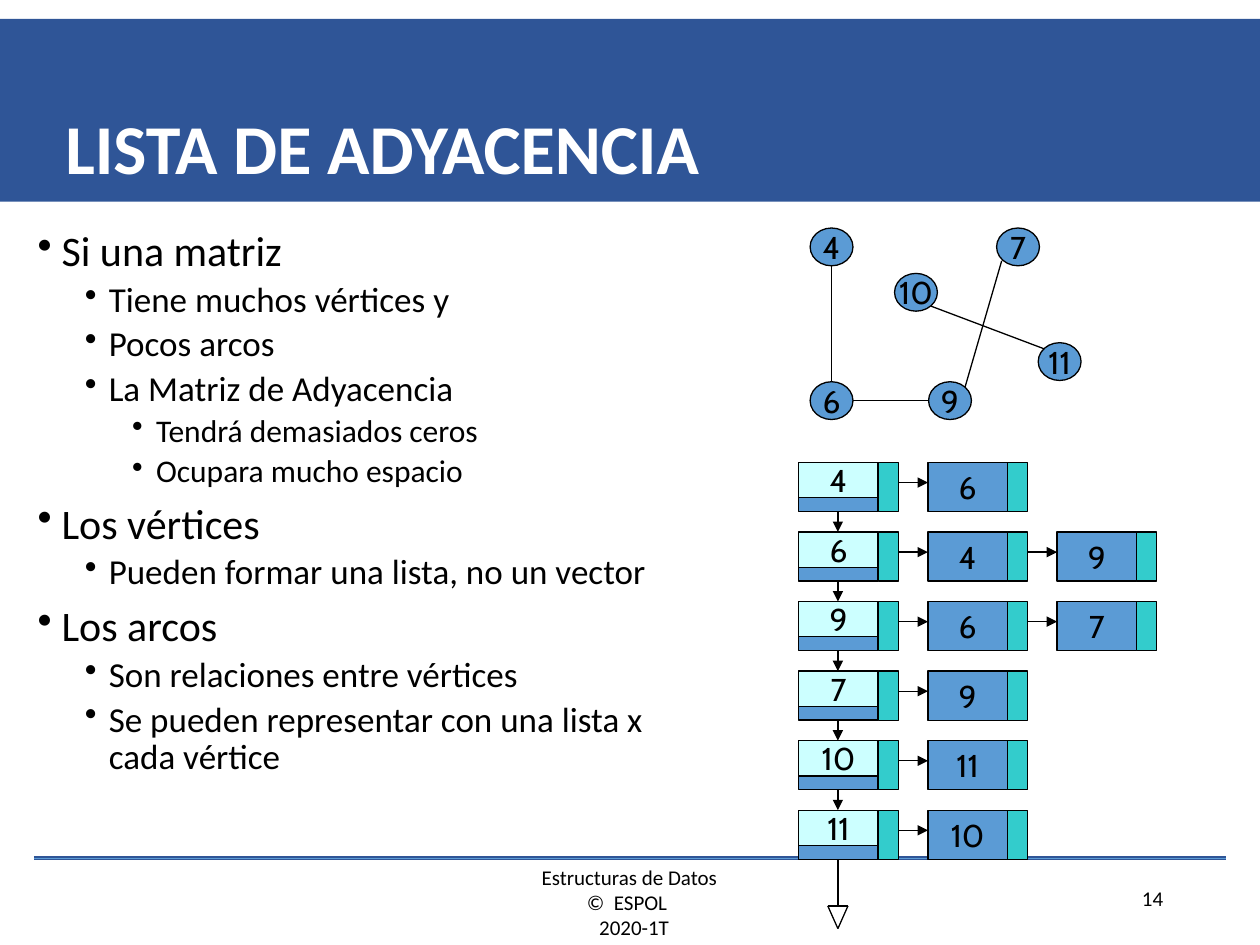
from dataclasses import dataclass

import pptx
import pptx.dml.color
import pptx.enum.shapes
import pptx.enum.text
import pptx.oxml.ns
import pptx.oxml.xmlchemy
import pptx.util
from lxml import etree

Inches = pptx.util.Inches
Pt = pptx.util.Pt
qn = pptx.oxml.ns.qn
Align = pptx.enum.text.PP_ALIGN
Shape = pptx.enum.shapes.MSO_SHAPE


@dataclass(frozen=True)
class Theme:
    text_font: str = "Calibri"
    diagram_font: str = "Cabin"
    black: str = "000000"
    white: str = "FFFFFF"
    banner: str = "2F5597"
    node: str = "5B9BD5"
    vertex: str = "CCFFFF"
    pointer: str = "33CCCC"
    title_size: float = 40
    footer_size: float = 12
    diagram_size: float = 18
    body_sizes: tuple = (24, 20, 18)
    body_gaps: tuple = (7.5, 3.7, 3.7)
    thin: float = 0.75


class SlideBuilder:
    def __init__(self, slide, theme):
        self.shapes = slide.shapes
        self.theme = theme

    def color(self, value):
        return pptx.dml.color.RGBColor.from_string(value)

    def style(self, paragraph, size, font, color, bold=False):
        for run in paragraph.runs:
            run.font.size = Pt(size)
            run.font.name = font
            run.font.bold = bold
            run.font.color.rgb = self.color(color)

    def text(self, left, top, width, height, lines, size, color, align=Align.LEFT,
             bold=False, middle=False, spacing=None):
        box = self.shapes.add_textbox(Inches(left), Inches(top), Inches(width), Inches(height))
        frame = box.text_frame
        frame.word_wrap = True
        if middle:
            frame.vertical_anchor = pptx.enum.text.MSO_ANCHOR.MIDDLE
        frame.text = "\n".join(lines)
        for paragraph in frame.paragraphs:
            paragraph.alignment = align
            paragraph.line_spacing = spacing
            self.style(paragraph, size, self.theme.text_font, color, bold)
        return frame

    def bullets(self, left, top, width, height, items):
        frame = self.text(left, top, width, height, [item for _, item in items],
                          self.theme.body_sizes[0], self.theme.black, spacing=0.9)
        for index, (paragraph, (level, _)) in enumerate(zip(frame.paragraphs, items)):
            paragraph.level = level
            if index:
                paragraph.space_before = Pt(self.theme.body_gaps[level])
            properties = paragraph._p.get_or_add_pPr()
            properties.set("marL", str(Inches(0.19 + 0.375 * level)))
            properties.set("indent", str(Inches(-0.19)))
            etree.SubElement(properties, qn("a:buChar")).set("char", "•")
            self.style(paragraph, self.theme.body_sizes[level], self.theme.text_font,
                       self.theme.black)

    def shape(self, kind, left, top, width, height, fill, label="", outlined=True):
        shape = self.shapes.add_shape(kind, Inches(left), Inches(top), Inches(width),
                                      Inches(height))
        shape.shadow.inherit = False
        shape.fill.solid()
        shape.fill.fore_color.rgb = self.color(fill)
        if outlined:
            shape.line.color.rgb = self.color(self.theme.black)
            shape.line.width = Pt(self.theme.thin)
        else:
            shape.line.fill.background()
        if label:
            frame = shape.text_frame
            frame.word_wrap = False
            frame.vertical_anchor = pptx.enum.text.MSO_ANCHOR.MIDDLE
            frame.text = label
            frame.paragraphs[0].alignment = Align.CENTER
            self.style(frame.paragraphs[0], self.theme.diagram_size,
                       self.theme.diagram_font, self.theme.black)

    def line(self, start, end, color=None, width=None, arrow=False):
        line = self.shapes.add_connector(
            pptx.enum.shapes.MSO_CONNECTOR.STRAIGHT, *map(Inches, (*start, *end)))
        line.line.color.rgb = self.color(color or self.theme.black)
        line.line.width = Pt(width or self.theme.thin)
        if arrow:
            outline = line.line._get_or_add_ln()
            etree.SubElement(outline, qn("a:tailEnd")).set("type", "triangle")
        etree.SubElement(line._element.spPr, qn("a:effectLst"))


BODY = [
    (0, "Si una matriz"),
    (1, "Tiene muchos vértices y"),
    (1, "Pocos arcos"),
    (1, "La Matriz de Adyacencia"),
    (2, "Tendrá demasiados ceros"),
    (2, "Ocupara mucho espacio"),
    (0, "Los vértices"),
    (1, "Pueden formar una lista, no un vector"),
    (0, "Los arcos"),
    (1, "Son relaciones entre vértices"),
    (1, "Se pueden representar con una lista x cada vértice"),
]
VERTICES = {"4": (6.43, 1.81), "7": (7.91, 1.81), "9": (7.37, 3.03),
            "6": (6.43, 3.03), "10": (7.1, 2.17), "11": (8.24, 2.72)}
EDGES = [((6.6, 2.11), (6.6, 3.03)), ((6.77, 3.18), (7.37, 3.18)),
         ((7.66, 3.07), (7.95, 2.07)), ((7.39, 2.43), (8.29, 2.77))]
ADJACENCY = {"4": ["6"], "6": ["4", "9"], "9": ["6", "7"],
             "7": ["9"], "10": ["11"], "11": ["10"]}


def draw_frame(builder, theme):
    # Footer
    builder.text(3.25, 6.81, 3.49, 0.7, ["Estructuras de Datos", "©  ESPOL ", "  2020-1T"],
                 theme.footer_size, theme.black, Align.CENTER)
    builder.text(7.2, 6.98, 2.13, 0.31, ["14"], theme.footer_size, theme.black, Align.RIGHT)
    for color, width in ((theme.banner, 2.25), (theme.node, 0.5)):
        builder.line((0.27, 6.81), (9.73, 6.81), color, width)

    # Title banner
    builder.shape(Shape.RECTANGLE, 0, 0.15, 10, 1.45, theme.banner, outlined=False)
    builder.text(0.42, 0.58, 6.45, 1.25, ["LISTA DE ADYACENCIA"], theme.title_size,
                 theme.white, bold=True, middle=True, spacing=0.9)


def draw_graph(builder, theme):
    for label, (left, top) in VERTICES.items():
        builder.shape(Shape.OVAL, left, top, 0.34, 0.3, theme.node, label)
    for start, end in EDGES:
        builder.line(start, end)


def draw_adjacency_list(builder, theme):
    first_left, first_top = 6.34, 3.67
    column_step, row_step = 1.025, 0.552
    data_width, pointer_width = 0.63, 0.16
    cell_height, label_height = 0.39, 0.28
    cell_width = data_width + pointer_width
    spine = 6.65

    for row, (vertex, neighbours) in enumerate(ADJACENCY.items()):
        top = first_top + row * row_step
        bottom = top + cell_height
        # Vertex cell with its link to the next vertex
        builder.shape(Shape.RECTANGLE, first_left, top, data_width, label_height,
                      theme.vertex, vertex)
        builder.shape(Shape.RECTANGLE, first_left, top + label_height, data_width,
                      cell_height - label_height, theme.node)
        builder.shape(Shape.RECTANGLE, first_left + data_width, top, pointer_width,
                      cell_height, theme.pointer)
        if row < len(ADJACENCY) - 1:
            builder.line((spine, bottom), (spine, top + row_step), arrow=True)

        # Chain of neighbours
        for column, neighbour in enumerate(neighbours, start=1):
            left = first_left + column * column_step
            builder.shape(Shape.RECTANGLE, left, top, data_width, cell_height,
                          theme.node, neighbour)
            builder.shape(Shape.RECTANGLE, left + data_width, top, pointer_width,
                          cell_height, theme.pointer)
            builder.line((left - column_step + cell_width, top + 0.16),
                         (left, top + 0.16), arrow=True)

    # Open arrow at the end of the vertex list
    tip, base_left, base_right = (spine, 7.37), (6.57, 7.19), (6.73, 7.19)
    for start, end in (((spine, 6.82), (spine, 7.19)), (base_left, base_right),
                       (base_left, tip), (tip, base_right)):
        builder.line(start, end)


def main():
    presentation = pptx.Presentation()
    presentation.slide_width, presentation.slide_height = Inches(10), Inches(7.5)
    theme = Theme()
    builder = SlideBuilder(presentation.slides.add_slide(presentation.slide_layouts[6]), theme)
    draw_frame(builder, theme)
    builder.bullets(0.2, 1.78, 5.51, 4.5, BODY)
    draw_graph(builder, theme)
    draw_adjacency_list(builder, theme)
    presentation.save("out.pptx")


if __name__ == "__main__":
    main()
